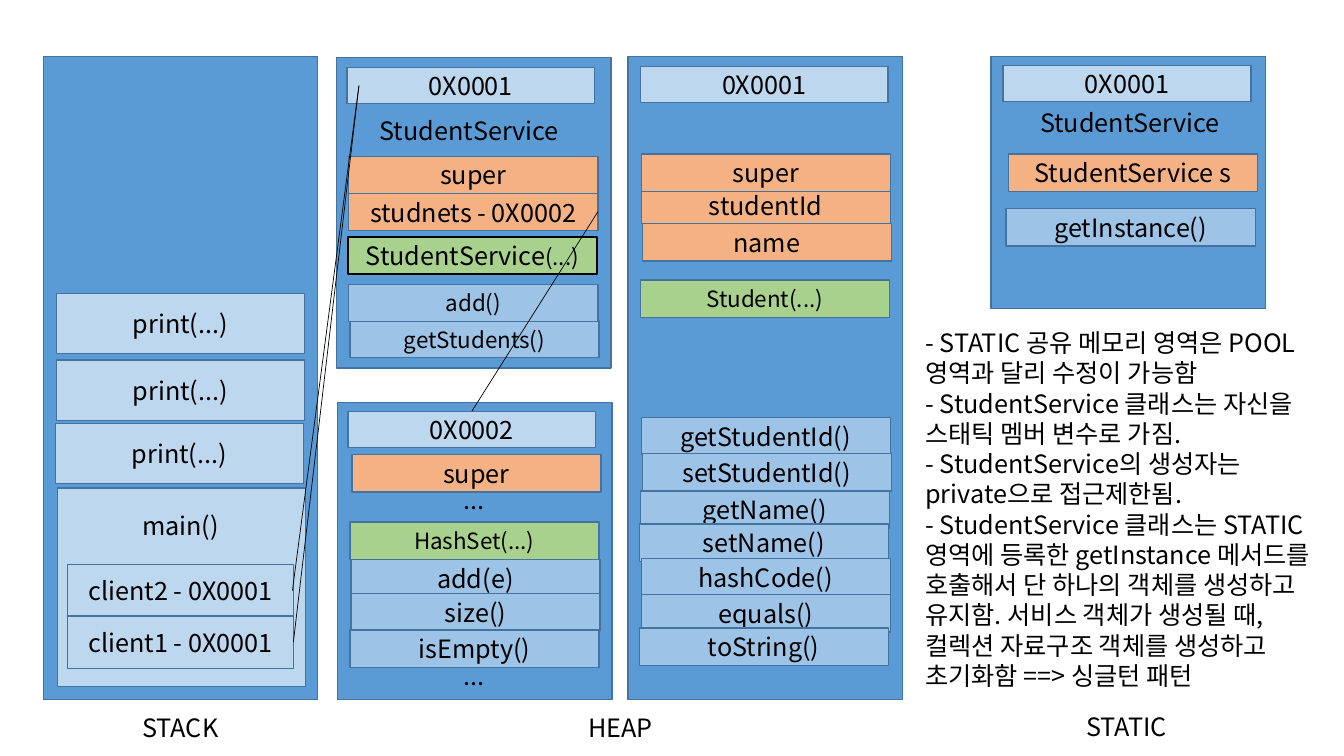
from lxml import etree
from pptx import Presentation
from pptx import util as u
from pptx.dml.color import RGBColor
from pptx.enum import shapes, text
from pptx.oxml.ns import qn

PX = 9144  # one px is a hundredth of an inch
FONT = "Noto Sans CJK KR"
BLACK, EDGE = "000000", "43739E"
AREA, ADDRESS, METHOD = "5B9BD5", "BDD7EE", "9DC3E6"
FIELD, CONSTRUCTOR = "F4B183", "A9D18E"

NOTES = [
    "- STATIC 공유 메모리 영역은 POOL영역과 달리 수정이 가능함",
    "- StudentService 클래스는 자신을 스태틱 멤버 변수로 가짐.",
    "- StudentService의 생성자는 private으로 접근제한됨.",
    "- StudentService 클래스는 STATIC영역에 등록한 getInstance 메서드를 "
    "호출해서 단 하나의 객체를 생성하고 유지함. 서비스 객체가 생성될 때, "
    "컬렉션 자료구조 객체를 생성하고 초기화함 ==> 싱글턴 패턴",
]


def color(value):
    return RGBColor.from_string(value)


def emu(*lengths):
    return [u.Emu(length * PX) for length in lengths]


def format_span(span, size):
    span.font.size = u.Pt(size)
    span.font.name = FONT
    span.font.color.rgb = color(BLACK)
    east_asian = etree.SubElement(span.font._element, qn("a:ea"))
    east_asian.set("typeface", FONT)


def format_text(frame, size, align):
    for para in frame.paragraphs:
        para.alignment = align
        for span in para.runs:
            format_span(span, size)


def add_box(page, left, top, width, height, fill, words="", size=18, edge=EDGE):
    box = page.shapes.add_shape(shapes.MSO_SHAPE.RECTANGLE, *emu(left, top, width, height))
    box.shadow.inherit = False
    box.fill.solid()
    box.fill.fore_color.rgb = color(fill)
    box.line.color.rgb = color(edge)
    box.line.width = u.Pt(1)
    if words:
        box.text_frame.text = words
        box.text_frame.vertical_anchor = text.MSO_ANCHOR.MIDDLE
        format_text(box.text_frame, size, text.PP_ALIGN.CENTER)
    return box


def add_rows(page, fill, rows, size=18):
    """Draw member rows given as (left, top, words)."""
    for left, top, words in rows:
        add_box(page, left, top, 247, 37, fill, words, size)


def add_address(page, left, top, words):
    add_box(page, left, top, 246, 36, ADDRESS, words)


def add_text(page, left, top, width, height, words, align=text.PP_ALIGN.CENTER):
    box = page.shapes.add_textbox(*emu(left, top, width, height))
    box.text_frame.word_wrap = True
    box.text_frame.auto_size = text.MSO_AUTO_SIZE.SHAPE_TO_FIT_TEXT
    box.text_frame.text = words
    format_text(box.text_frame, 18, align)


def add_reference(page, *ends):
    line = page.shapes.add_connector(shapes.MSO_CONNECTOR.STRAIGHT, *emu(*ends))
    line.line.color.rgb = color(BLACK)
    line.line.width = u.Pt(0.5)
    etree.SubElement(line._element.spPr, qn("a:effectLst"))


def add_stack(page):
    add_box(page, 43, 56, 272, 638, AREA)
    add_text(page, 91, 702, 176, 41, "STACK")
    add_box(page, 57, 484, 246, 197, ADDRESS)
    add_text(page, 102, 501, 154, 40, "main()")
    for top, words in ((560, "client2 - 0X0001"), (611, "client1 - 0X0001")):
        add_box(page, 67, top, 224, 52, ADDRESS, words)
    for left, top in ((55, 420), (56, 357), (56, 291)):
        add_box(page, left, top, 246, 60, ADDRESS, "print(...)")


def add_service_object(page):
    add_box(page, 334, 57, 272, 308, AREA)
    add_address(page, 344, 67, "0X0001")
    add_text(page, 362, 109, 207, 40, "StudentService")
    add_rows(page, FIELD, [(346, 155, "super"), (346, 192, "studnets - 0X0002")])
    add_rows(page, METHOD, [(347, 318, "getStudents()"), (346, 282, "add()")], 16)
    constructor = add_box(page, 345, 235, 247, 37, CONSTRUCTOR, "StudentService", edge=BLACK)
    arguments = constructor.text_frame.paragraphs[0].add_run()
    arguments.text = "(...)"
    format_span(arguments, 16)


def add_set_object(page):
    add_box(page, 335, 399, 272, 295, AREA)
    add_address(page, 345, 408, "0X0002")
    add_rows(page, FIELD, [(349, 451, "super")])
    add_rows(page, CONSTRUCTOR, [(347, 518, "HashSet(...)")], 16)
    add_rows(page, METHOD, [(348, 555, "add(e)"), (348, 589, "size()"), (347, 625, "isEmpty()")])
    for top in (476, 650):
        add_text(page, 366, top, 208, 41, "...")


def add_student_object(page):
    add_box(page, 623, 56, 272, 638, AREA)
    add_address(page, 635, 66, "0X0001")
    add_rows(page, FIELD, [(636, 185, "studentId"), (636, 153, "super"), (637, 222, "name")])
    add_rows(page, CONSTRUCTOR, [(635, 278, "Student(...)")], 16)
    add_rows(page, METHOD, [
        (636, 414, "getStudentId()"), (637, 450, "setStudentId()"),
        (635, 487, "getName()"), (634, 520, "setName()"),
        (636, 554, "hashCode()"), (636, 590, "equals()"), (634, 623, "toString()"),
    ])


def add_static(page):
    add_box(page, 983, 56, 272, 250, AREA)
    add_address(page, 995, 65, "0X0001")
    add_text(page, 1017, 102, 207, 40, "StudentService")
    add_rows(page, FIELD, [(1000, 153, "StudentService s")])
    add_rows(page, METHOD, [(998, 207, "getInstance()")])
    add_text(page, 1021, 701, 193, 40, "STATIC")
    add_text(page, 908, 320, 410, 374, "\n".join(NOTES), text.PP_ALIGN.LEFT)


def main():
    deck = Presentation()
    deck.slide_width, deck.slide_height = emu(1333, 750)
    page = deck.slides.add_slide(deck.slide_layouts[6])
    add_stack(page)
    add_service_object(page)
    add_set_object(page)
    add_student_object(page)
    add_text(page, 519, 702, 193, 41, "HEAP")
    add_static(page)
    for left, top in ((290, 586), (291, 637)):
        add_reference(page, left, top, 356, 85)
    add_reference(page, 593, 210, 468, 408)
    deck.save("out.pptx")


if __name__ == "__main__":
    main()
